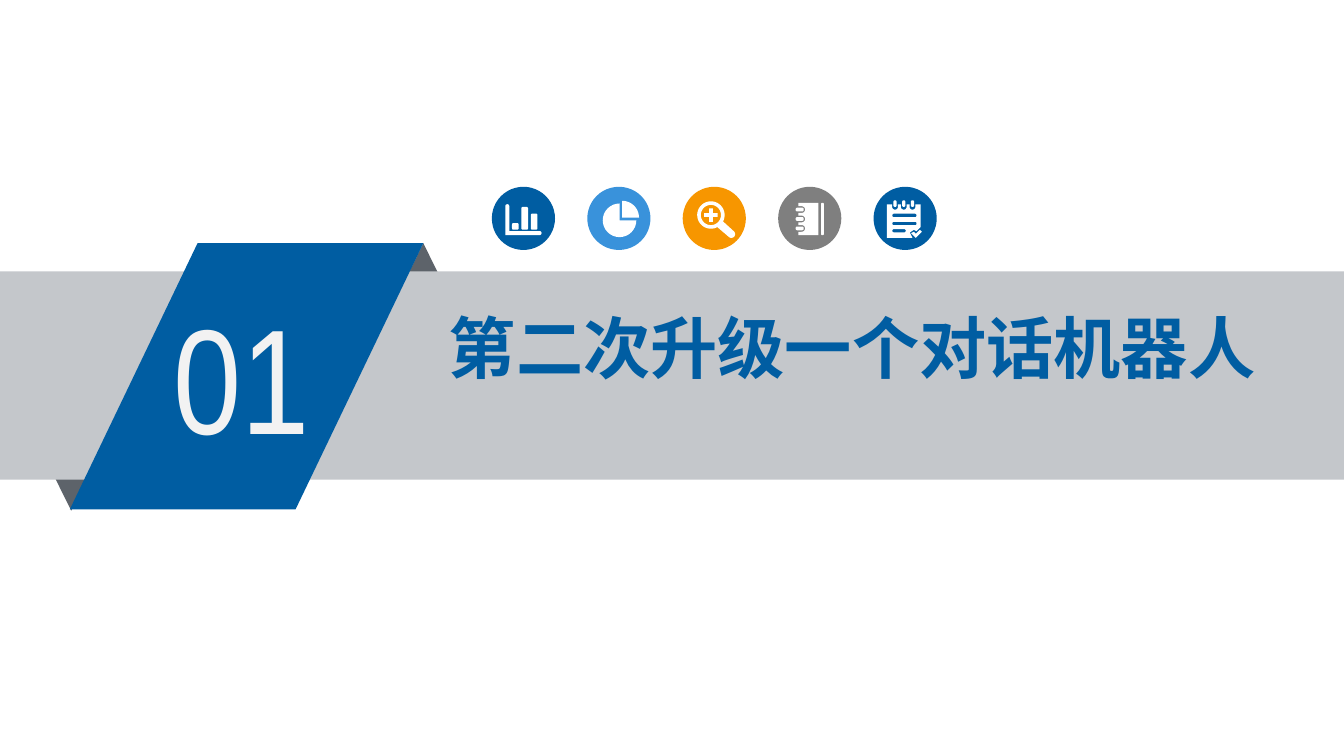
"""Build a section divider slide with a ribbon number and a row of icon badges."""
import math

from lxml import etree
from pptx import Presentation
from pptx.dml.color import RGBColor
from pptx.enum import shapes, text
from pptx.oxml import ns
from pptx.util import Inches, Pt

BLUE, SKY, ORANGE, GRAY = "005DA2", "3992DB", "F79600", "7F7F7F"
SHADE, BAND, WHITE, PALE = "5D636A", "C4C7CB", "FFFFFF", "F2F2F2"
SHAPE = shapes.MSO_SHAPE


def color(value):
    return RGBColor.from_string(value)


def write(frame, words, *, font, size, fill, bold=False, inset=0.08):
    frame.margin_left = frame.margin_right = Inches(inset)
    frame.margin_top = frame.margin_bottom = Inches(0.04)
    frame.vertical_anchor = text.MSO_ANCHOR.TOP
    frame.word_wrap = True
    frame.auto_size = text.MSO_AUTO_SIZE.SHAPE_TO_FIT_TEXT
    para = frame.paragraphs[0]
    para.alignment = text.PP_ALIGN.LEFT
    span = para.add_run()
    span.text = words
    span.font.name, span.font.size, span.font.bold = font, Pt(size), bold
    span.font.color.rgb = color(fill)
    etree.SubElement(span._r.get_or_add_rPr(), ns.qn("a:ea"), typeface=font)


def arc(x, y, radius, start, stop, steps=24):
    angles = [math.radians(start + (stop - start) * i / steps) for i in range(steps + 1)]
    return [(x + radius * math.cos(a), y + radius * math.sin(a)) for a in angles]


def pill(x, y, width, height, radius=1.2):
    left, right = x + radius, x + width - radius
    top, bottom = y + radius, y + height - radius
    corners = [(right, bottom), (left, bottom), (left, top), (right, top)]
    return [point for i, (cx, cy) in enumerate(corners)
            for point in arc(cx, cy, radius, 90 * i, 90 * i + 90, 6)]


def bar_chart():
    axes = arc(11.5, 14.5, 1.5, 180, 360) + [(13, 33)] + arc(35.5, 34.5, 1.5, -90, 90) + [(10, 36)]
    return [axes, pill(15, 27, 5, 5), pill(22, 15, 5, 17), pill(29, 20, 5, 12)]


def pie_chart():
    return [arc(24, 25, 12.5, 0, 270) + [(24, 25)], arc(26, 23, 12.5, -90, 0) + [(26, 23)]]


def magnifier():
    lens = arc(21, 21, 10.2, 62, 388, 48) + arc(36.2, 35.2, 2.8, -45, 135)
    near, far = 1.4, 5
    quarter = [(near, -far), (near, -near), (far, -near)]
    plus = []
    for _ in range(4):
        plus += [(21 + x, 21 + y) for x, y in quarter]
        quarter = [(-y, x) for x, y in quarter]
    return [lens, arc(21, 21, 7.5, 0, 360, 48), plus]


def notebook():
    rings = [31, 24, 17]
    cover = [(30, 12), (30, 36), (15, 36)]
    for y in rings:
        cover += [(15, y + 2.5)] + arc(17.5, y, 2.5, 90, -90) + [(15, y - 2.5)]
    cover.append((15, 12))
    return [cover, pill(32, 12, 2, 24, 0.8)] + [pill(13, y - 1.4, 6, 2.8) for y in rings]


def notepad():
    rings = [16, 22.5, 29]
    sheet = [(10, 13)]
    for x in rings:
        sheet += [(x - 2.2, 13)] + arc(x, 14.8, 2.2, 180, 0) + [(x + 2.2, 13)]
    sheet += [(35, 13), (35, 30), (32, 33), (30, 32), (27, 34), (29, 38), (10, 38)]
    tick = [(28, 34.5), (30, 33.5), (31.5, 35), (34.5, 32), (36, 33.5), (31.5, 38)]
    lines = [pill(14, 20, 18, 2.6), pill(14, 26, 18, 2.6), pill(14, 31.5, 10, 2.4, 1.1)]
    return [sheet, tick, *lines] + [pill(x - 1.2, 10, 2.4, 5) for x in rings]


class Slide:
    """Hold the style and the current page."""

    def __init__(self, deck):
        self.page = deck.slides.add_slide(deck.slide_layouts[5])
        self.latin, self.chinese = "Arial Narrow", "Noto Sans CJK SC"

    def paint(self, box, fill):
        box.shadow.inherit = False
        box.fill.solid()
        box.fill.fore_color.rgb = color(fill)
        box.line.fill.background()

    def shape(self, kind, left, top, width, height, fill):
        box = self.page.shapes.add_shape(kind, *map(Inches, (left, top, width, height)))
        self.paint(box, fill)
        return box

    def title(self, words, left, top, width, height):
        box = self.page.shapes.title
        box.left, box.top, box.width, box.height = map(Inches, (left, top, width, height))
        self.page.shapes._spTree.append(box._element)
        write(box.text_frame, words, font=self.chinese, size=36, fill=BLUE, bold=True)

    def number(self, words, left, top, width, height):
        box = self.page.shapes.add_textbox(*map(Inches, (left, top, width, height)))
        write(box.text_frame, words, font=self.latin, size=80, fill=PALE, inset=0.07)

    def badge(self, left, top, fill, outlines):
        self.shape(SHAPE.OVAL, left, top, 0.47, 0.47, fill)
        builder = None
        for outline in outlines:
            start, *rest = [(Inches(x / 100), Inches(y / 100)) for x, y in outline]
            if builder is None:
                builder = self.page.shapes.build_freeform(*start)
            else:
                builder.move_to(*start)
            builder.add_line_segments(rest, close=True)
        self.paint(builder.convert_to_shape(Inches(left), Inches(top)), WHITE)


def main():
    deck = Presentation()
    deck.slide_width, deck.slide_height = Inches(10), Inches(10 * 9 / 16)
    slide = Slide(deck)
    slide.shape(SHAPE.ISOSCELES_TRIANGLE, 2.7, 1.81, 0.9, 0.91, SHADE)
    slide.shape(SHAPE.ISOSCELES_TRIANGLE, 0.08, 2.89, 0.9, 0.91, SHADE).rotation = 180
    slide.shape(SHAPE.RECTANGLE, 0, 2.02, 10, 1.55, BAND)
    slide.shape(SHAPE.PARALLELOGRAM, 0.52, 1.81, 2.63, 1.98, BLUE).adjustments[0] = 0.48
    slide.number("01", 1.22, 2.08, 1.45, 1.42)
    slide.title("第二次升级一个对话机器人", 3.26, 2.24, 6.65, 0.68)
    badges = [(BLUE, bar_chart), (SKY, pie_chart), (ORANGE, magnifier),
              (GRAY, notebook), (BLUE, notepad)]
    for i, (fill, icon) in enumerate(badges):
        slide.badge(3.66 + 0.71 * i, 1.39, fill, icon())
    deck.save("out.pptx")


if __name__ == "__main__":
    main()
